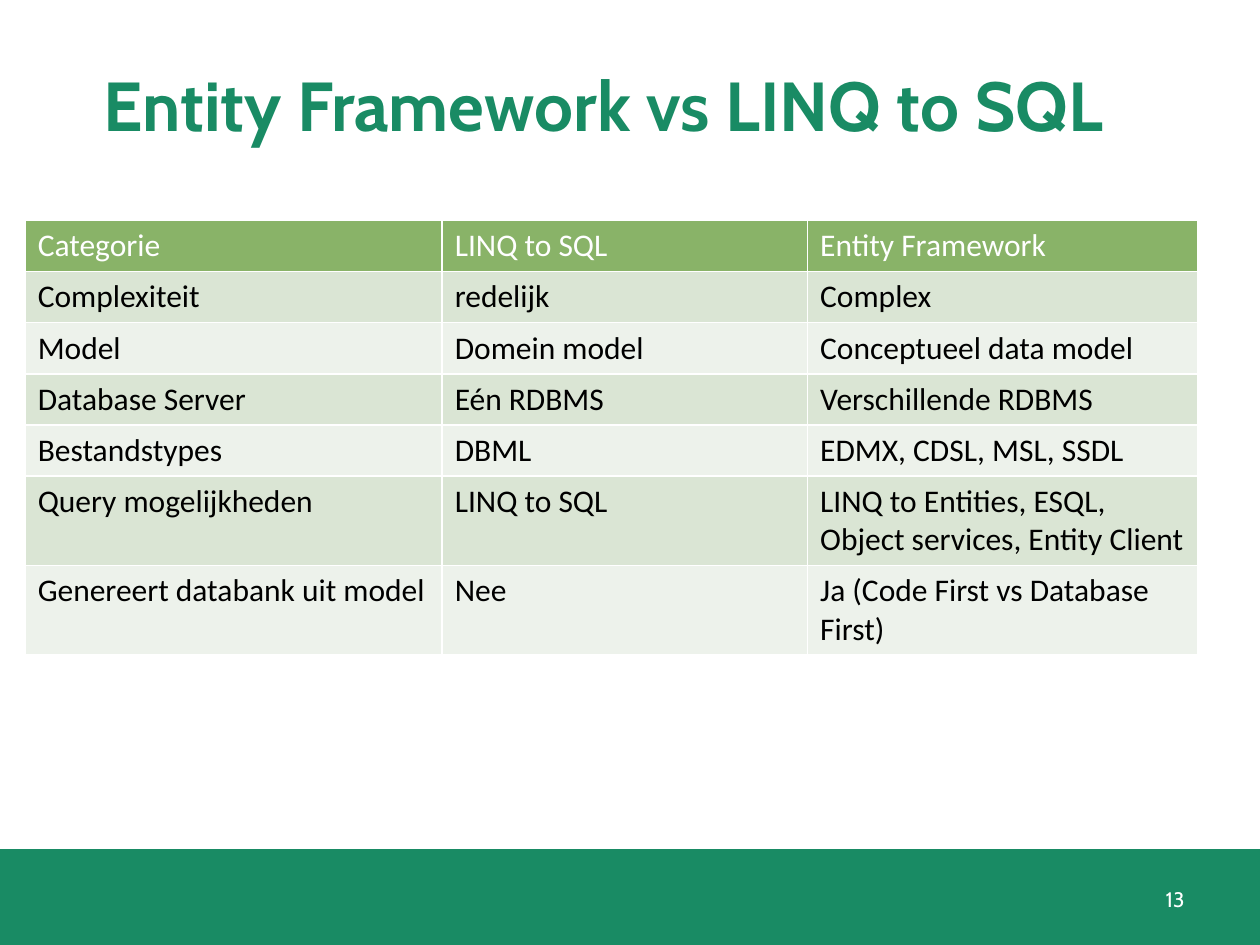
"""Build a slide that compares Entity Framework with LINQ to SQL."""
from dataclasses import dataclass

from pptx import Presentation
from pptx import util as u
from pptx.dml.color import RGBColor
from pptx.enum import shapes, text

COLORS = {
    "green": "198B64",
    "header": "89B368",
    "band_dark": "DAE5D4",
    "band_light": "EDF2EB",
    "white": "FFFFFF",
    "black": "000000",
}


@dataclass(frozen=True)
class Box:
    left: float
    top: float
    width: float
    height: float

    def lengths(self) -> list:
        return [u.Inches(v) for v in (self.left, self.top, self.width, self.height)]


@dataclass(frozen=True)
class Style:
    font: str
    size: float
    color: str
    bold: bool = False


@dataclass(frozen=True)
class Comparison:
    category: str
    linq: str
    entity: str

    def values(self) -> tuple:
        return self.category, self.linq, self.entity


ROWS = [
    Comparison("Categorie", "LINQ to SQL", "Entity Framework"),
    Comparison("Complexiteit", "redelijk", "Complex"),
    Comparison("Model", "Domein model", "Conceptueel data model"),
    Comparison("Database Server", "Eén RDBMS", "Verschillende RDBMS"),
    Comparison("Bestandstypes", "DBML", "EDMX, CDSL, MSL, SSDL"),
    Comparison("Query mogelijkheden", "LINQ to SQL",
               "LINQ to Entities, ESQL, Object services, Entity Client"),
    Comparison("Genereert databank uit model", "Nee", "Ja (Code First vs Database First)"),
]
COLUMN_WIDTHS = (3.31, 2.9, 3.1)
ROW_HEIGHT = 0.4


def rgb(name: str) -> RGBColor:
    return RGBColor.from_string(COLORS[name])


def write(frame, wording: str, style: Style, align=text.PP_ALIGN.LEFT) -> None:
    frame.text = wording
    paragraph = frame.paragraphs[0]
    paragraph.alignment = align
    font = paragraph.runs[0].font
    formats = {"name": style.font, "size": u.Pt(style.size), "bold": style.bold}
    for attribute, value in formats.items():
        setattr(font, attribute, value)
    font.color.rgb = rgb(style.color)


def place_title(slide, wording: str, box: Box) -> None:
    title = slide.shapes.title
    for side, length in zip(("left", "top", "width", "height"), box.lengths()):
        setattr(title, side, length)
    frame = title.text_frame
    write(frame, wording, Style("Cabin", 39.6, "green", True))
    formats = {"vertical_anchor": text.MSO_ANCHOR.MIDDLE,
               "auto_size": text.MSO_AUTO_SIZE.NONE, "word_wrap": True}
    for attribute, value in formats.items():
        setattr(frame, attribute, value)


def add_footer(slide, band_box: Box, number_box: Box, number: str) -> None:
    band = slide.shapes.add_shape(shapes.MSO_SHAPE.RECTANGLE, *band_box.lengths())
    band.shadow.inherit = False
    band.fill.solid()
    band.fill.fore_color.rgb = rgb("green")
    band.line.fill.background()
    frame = slide.shapes.add_textbox(*number_box.lengths()).text_frame
    frame.word_wrap = True
    frame.vertical_anchor = text.MSO_ANCHOR.MIDDLE
    write(frame, number, Style("Cabin", 12, "white"), text.PP_ALIGN.RIGHT)


def add_comparison(slide, left: float, top: float) -> None:
    box = Box(left, top, sum(COLUMN_WIDTHS), ROW_HEIGHT * len(ROWS))
    table = slide.shapes.add_table(len(ROWS), len(COLUMN_WIDTHS), *box.lengths()).table
    for column, width in zip(table.columns, COLUMN_WIDTHS):
        column.width = u.Inches(width)
    for index, (row, comparison) in enumerate(zip(table.rows, ROWS)):
        row.height = u.Inches(ROW_HEIGHT)
        band = "band_dark" if index % 2 else "band_light"
        fill, ink = (band, "black") if index else ("header", "white")
        for cell, wording in zip(row.cells, comparison.values()):
            cell.fill.solid()
            cell.fill.fore_color.rgb = rgb(fill)
            write(cell.text_frame, wording, Style("Calibri", 18, ink))


def main() -> None:
    deck = Presentation()
    deck.slide_width, deck.slide_height = u.Inches(10), u.Inches(7.5)
    slide = deck.slides.add_slide(deck.slide_layouts[5])
    place_title(slide, "Entity Framework vs LINQ to SQL", Box(0.72, 0.2, 8.78, 1.25))
    add_comparison(slide, 0.2, 1.75)
    add_footer(slide, Box(0, 6.74, 10, 0.76), Box(8.92, 6.94, 0.58, 0.4), "13")
    deck.save("out.pptx")


if __name__ == "__main__":
    main()
